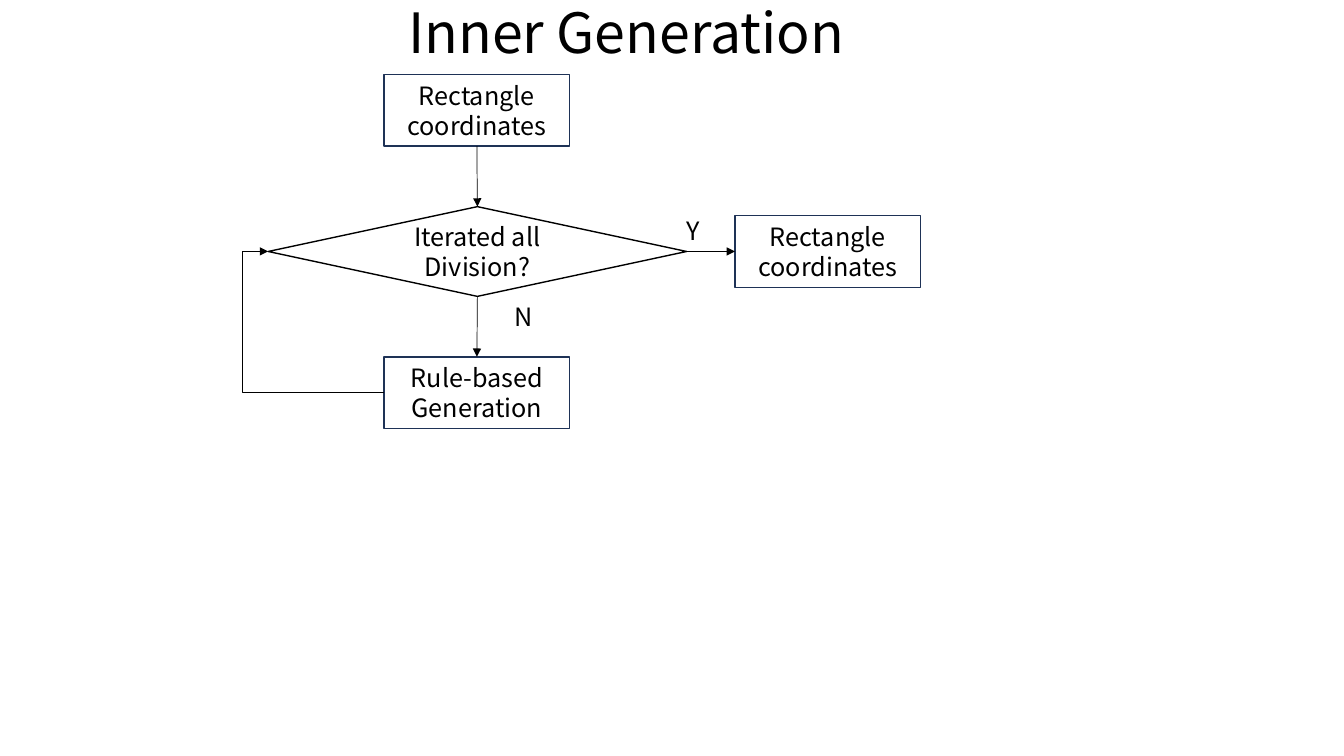
import pptx
import pptx.util
import pptx.dml.color
import pptx.enum.shapes
import pptx.enum.text
import pptx.oxml.ns
import lxml.etree

Inches = pptx.util.Inches
SHAPE = pptx.enum.shapes.MSO_SHAPE
CONNECTOR = pptx.enum.shapes.MSO_CONNECTOR
ALIGN = pptx.enum.text.PP_ALIGN
ANCHOR = pptx.enum.text.MSO_ANCHOR
AUTO = pptx.enum.text.MSO_AUTO_SIZE
FONT = "Noto Sans CJK SC"
BLACK, NAVY = "000000", "1E3256"
TOP, LEFT, BOTTOM, RIGHT = range(4)
BOX_W, BOX_H = 1.84, 0.71
MAIN_X = 3.81


def rgb(value):
    """Return the colour for a hex string."""
    return pptx.dml.color.RGBColor.from_string(value)


def apply(obj, formats):
    """Set each attribute named in a dict of format values."""
    for name, value in formats.items():
        setattr(obj, name, value)


def write(sp, text, size, para, frame):
    """Put one formatted paragraph of text in a shape."""
    tf = sp.text_frame
    apply(tf, frame)
    p = tf.paragraphs[0]
    apply(p, para)
    r = p.add_run()
    r.text = text
    apply(r.font, {"name": FONT, "size": pptx.util.Pt(size)})
    r.font.color.rgb = rgb(BLACK)


def add_title(s, text):
    """Move the title placeholder to the top and fill it."""
    sp = s.shapes.title
    apply(sp, {"left": Inches(0), "top": Inches(0),
               "width": Inches(12.42), "height": Inches(BOX_H)})
    write(sp, text, 39.6, {"alignment": ALIGN.CENTER, "line_spacing": 0.9},
          {"auto_size": AUTO.NONE, "word_wrap": True,
           "vertical_anchor": ANCHOR.MIDDLE})


def add_node(s, text, x, y, w=BOX_W, h=BOX_H, kind=SHAPE.RECTANGLE, color=NAVY):
    """Add an unfilled flowchart node with centred text."""
    sp = s.shapes.add_shape(kind, Inches(x), Inches(y), Inches(w), Inches(h))
    sp.shadow.inherit = False
    sp.fill.background()
    sp.line.color.rgb = rgb(color)
    sp.line.width = pptx.util.Pt(1)
    write(sp, text, 18, {"alignment": ALIGN.CENTER},
          {"word_wrap": True, "vertical_anchor": ANCHOR.MIDDLE})
    return sp


def add_arrow(s, start, start_site, end, end_site, kind=CONNECTOR.STRAIGHT, bend=None):
    """Join two nodes with an arrow, with an optional bend position."""
    cn = s.shapes.add_connector(kind, 0, 0, 0, 0)
    cn.begin_connect(start, start_site)
    cn.end_connect(end, end_site)
    cn.line.color.rgb = rgb(BLACK)
    cn.line.width = pptx.util.Pt(0.5)
    qn = pptx.oxml.ns.qn
    props = cn._element.spPr
    lxml.etree.SubElement(props.find(qn("a:ln")), qn("a:tailEnd"), type="triangle")
    lxml.etree.SubElement(props, qn("a:effectLst"))
    if bend is not None:
        guides = props.find(qn("a:prstGeom")).find(qn("a:avLst"))
        lxml.etree.SubElement(guides, qn("a:gd"), name="adj1",
                              fmla=f"val {round(bend * 100000)}")


def add_label(s, text, x, y, w):
    """Add a branch label beside an arrow."""
    sp = s.shapes.add_textbox(Inches(x), Inches(y), Inches(w), Inches(0.4))
    write(sp, text, 18, {"alignment": ALIGN.LEFT},
          {"word_wrap": False, "auto_size": AUTO.SHAPE_TO_FIT_TEXT})


def main():
    """Build the flowchart slide."""
    prs = pptx.Presentation()
    apply(prs, {"slide_width": Inches(13.33), "slide_height": Inches(7.5)})
    s = prs.slides.add_slide(prs.slide_layouts[5])
    add_title(s, "Inner Generation")
    source = add_node(s, "Rectangle coordinates", MAIN_X, 0.74)
    decision = add_node(s, "Iterated all Division?", 2.66, 2.05, 4.15, 0.89,
                        SHAPE.FLOWCHART_DECISION, BLACK)
    rule = add_node(s, "Rule-based Generation", MAIN_X, 3.54)
    result = add_node(s, "Rectangle coordinates", 7.29, 2.14)
    add_arrow(s, source, BOTTOM, decision, TOP)
    add_arrow(s, decision, BOTTOM, rule, TOP)
    add_arrow(s, decision, RIGHT, result, LEFT)
    add_arrow(s, rule, LEFT, decision, LEFT, CONNECTOR.ELBOW, 1.22)
    add_label(s, "N", 5, 2.94, 0.39)
    add_label(s, "Y", 6.71, 2.09, 0.34)
    prs.save("out.pptx")


if __name__ == "__main__":
    main()
